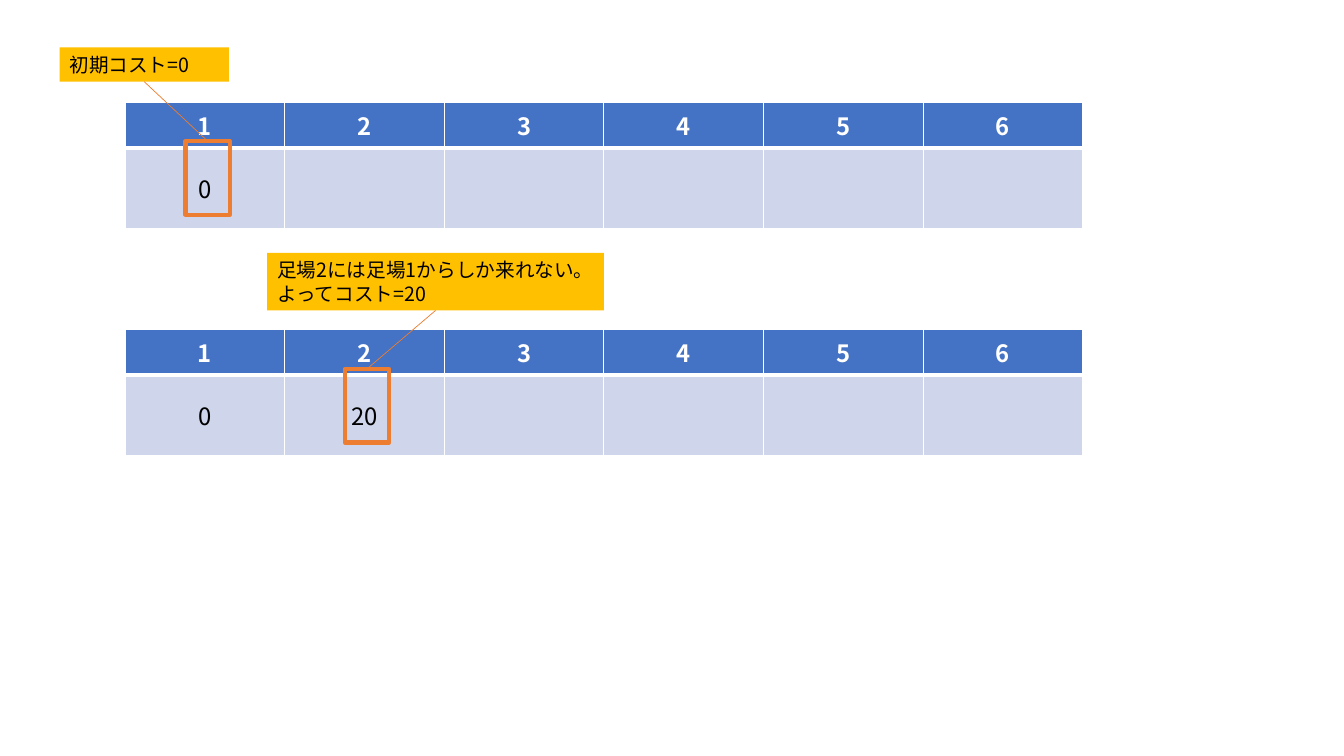
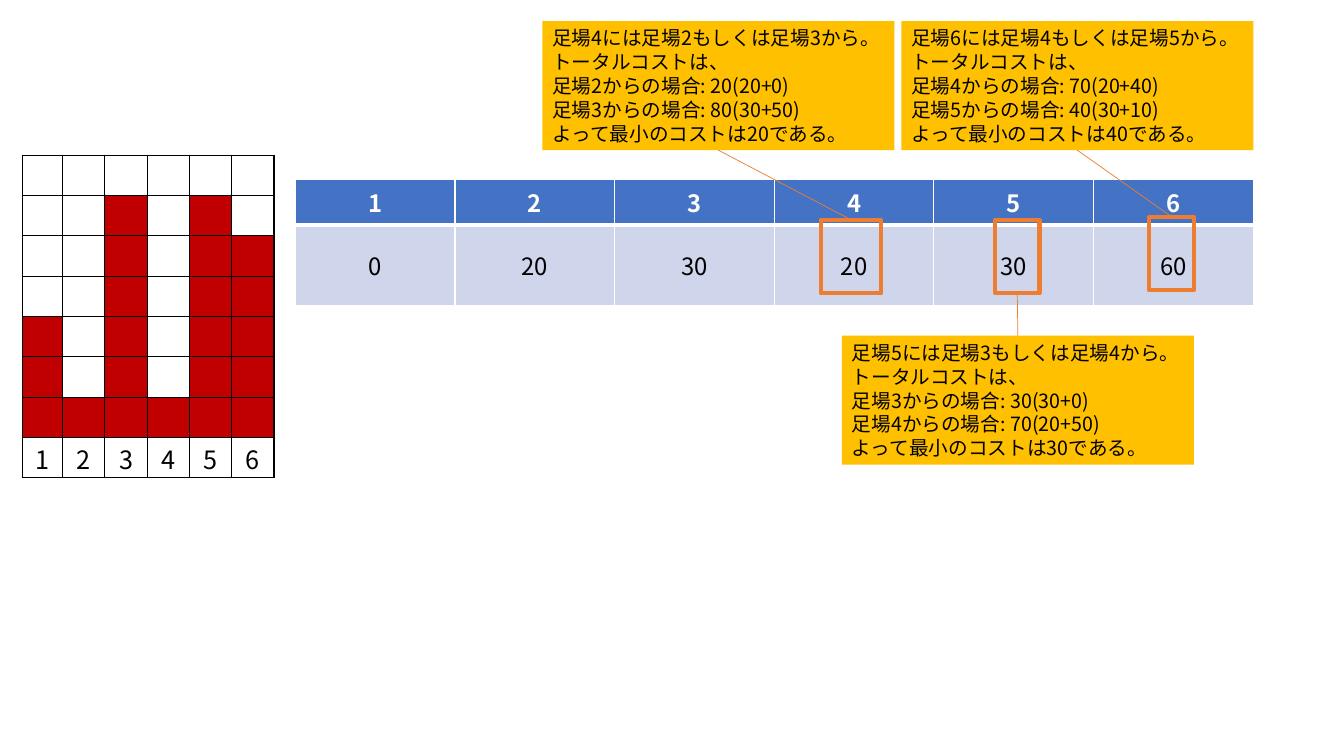
from lxml import etree
from pptx import Presentation
from pptx.dml.color import RGBColor
from pptx.enum.shapes import MSO_CONNECTOR, MSO_SHAPE
from pptx.enum.text import MSO_ANCHOR, MSO_AUTO_SIZE, PP_ALIGN
from pptx.oxml.ns import qn
from pptx.util import Emu, Pt

WHITE = RGBColor(0xFF, 0xFF, 0xFF)
BLACK = RGBColor(0x00, 0x00, 0x00)
BLUE = RGBColor(0x44, 0x72, 0xC4)
PALE_BLUE = RGBColor(0xCF, 0xD5, 0xEA)
ORANGE = RGBColor(0xED, 0x7D, 0x31)
AMBER = RGBColor(0xFF, 0xC0, 0x00)
RED = RGBColor(0xC0, 0x00, 0x00)

RECTANGLE = MSO_SHAPE.RECTANGLE
STRAIGHT = MSO_CONNECTOR.STRAIGHT
TOP, MIDDLE = MSO_ANCHOR.TOP, MSO_ANCHOR.MIDDLE
LEFT, CENTER = PP_ALIGN.LEFT, PP_ALIGN.CENTER
FIT_SHAPE = MSO_AUTO_SIZE.SHAPE_TO_FIT_TEXT
TOP_SIDE, BOTTOM_SIDE = 0, 2

FONT = "Noto Sans CJK JP"
STEPS = 6


def px(length):
    """Turn px, 100 to the inch, into EMU."""
    return Emu(length * 9144)


class Painter:
    def __init__(self, deck):
        self.deck = deck
        self.page = None

    def new_page(self):
        self.page = self.deck.slides.add_slide(self.deck.slide_layouts[6])

    def style(self, para, size, color=BLACK, bold=False, align=LEFT):
        para.alignment = align
        font = para.font
        font.size, font.bold, font.name = Pt(size), bold, FONT
        font.color.rgb = color
        east_asian = etree.SubElement(font._element, qn("a:ea"))
        east_asian.set("typeface", FONT)

    def rectangle(self, left, top, width, height):
        box = self.page.shapes.add_shape(
            RECTANGLE, px(left), px(top), px(width), px(height))
        box.shadow.inherit = False
        return box

    def marker(self, left, top, width=44):
        """Frame one cost in a table."""
        frame = self.rectangle(left, top, width, 73)
        frame.fill.background()
        frame.line.color.rgb = ORANGE
        frame.line.width = Pt(3)
        return frame

    def callout(self, left, top, width, height, lines):
        box = self.rectangle(left, top, width, height)
        box.fill.solid()
        box.fill.fore_color.rgb = AMBER
        box.line.fill.background()
        frame = box.text_frame
        frame.word_wrap = True
        frame.auto_size = FIT_SHAPE
        frame.vertical_anchor = TOP
        frame.text = "\n".join(lines)
        for para in frame.paragraphs:
            self.style(para, 14)
            para.line_spacing = Pt(17)
        return box

    def connect(self, callout, marker):
        """Join the facing sides of a callout and its marker."""
        sides = (BOTTOM_SIDE, TOP_SIDE)
        if callout.top > marker.top:
            sides = sides[::-1]
        line = self.page.shapes.add_connector(STRAIGHT, 0, 0, 0, 0)
        line.begin_connect(callout, sides[0])
        line.end_connect(marker, sides[1])
        line.line.color.rgb = ORANGE
        line.line.width = Pt(0.5)
        etree.SubElement(line._element.spPr, qn("a:effectLst"))

    def cell(self, cell, text, fill, border, widths, size, color=BLACK,
             bold=False):
        """Fill in one cell; widths are its left, right, top and bottom borders."""
        properties = cell._tc.get_or_add_tcPr()
        for side, width in zip("LRTB", widths):
            edge = etree.SubElement(properties, qn(f"a:ln{side}"), w=str(Pt(width)))
            paint = etree.SubElement(edge, qn("a:solidFill"))
            etree.SubElement(paint, qn("a:srgbClr"), val=str(border))
        if fill is None:
            cell.fill.background()
        else:
            cell.fill.solid()
            cell.fill.fore_color.rgb = fill
        cell.text = text
        self.style(cell.text_frame.paragraphs[0], size, color, bold, CENTER)

    def table(self, rows, left, top, width, height):
        table = self.page.shapes.add_table(
            rows, STEPS, px(left), px(top), px(width), px(height)).table
        table.first_row = table.horz_banding = False
        return table

    def cost_table(self, left, top, costs):
        table = self.table(2, left, top, 950, 125)
        table.rows[0].height, table.rows[1].height = px(45), px(80)
        for step in range(STEPS):
            self.cell(table.cell(0, step), str(step + 1), BLUE, WHITE,
                      (1, 1, 1, 3), 17, WHITE, True)
            cost = str(costs[step]) if step < len(costs) else ""
            body = table.cell(1, step)
            self.cell(body, cost, PALE_BLUE, WHITE, (1, 1, 3, 1), 17)
            body.vertical_anchor = MIDDLE

    def scaffold_grid(self, left, top, heights):
        """Draw each scaffold as a column of red cells over its number."""
        levels = 7
        table = self.table(levels + 1, left, top, 250, 320)
        for step, height in enumerate(heights):
            table.columns[step].width = px(42 if step else 40)
            for row in range(levels + 1):
                filled = levels - height <= row < levels
                cell = table.cell(row, step)
                cell.margin_top, cell.margin_bottom = px(3), 0
                self.cell(cell, str(step + 1) if row == levels else "",
                          RED if filled else None, BLACK, (1, 1, 1, 1), 18)

    def explain(self, callout, marker):
        self.connect(self.callout(*callout), self.marker(*marker))


def choice_lines(step, first, second, least):
    """Word the choice between the two scaffolds before a step."""
    return [
        f"足場{step}には足場{step - 2}もしくは足場{step - 1}から。トータルコストは、",
        f"足場{step - 2}からの場合: {first}",
        f"足場{step - 1}からの場合: {second}",
        f"よって最小のコストは{least}である。",
    ]


def main():
    deck = Presentation()
    deck.slide_width, deck.slide_height = px(1333), px(750)
    painter = Painter(deck)

    painter.new_page()
    painter.cost_table(124, 102, [0])
    painter.explain((59, 47, 168, 34, ["初期コスト=0"]), (184, 140))
    painter.cost_table(124, 327, [0, 20])
    painter.explain(
        (265, 251, 334, 57,
         ["足場2には足場1からしか来れない。", "よってコスト=20"]),
        (342, 366))

    painter.new_page()
    painter.cost_table(293, 178, [0, 20, 30, 20, 30, 60])
    choices = [
        (538, 21, (4, "20(20+0)", "80(30+50)", 20), (814, 218, 60)),
        (835, 333, (5, "30(30+0)", "70(20+50)", 30), (987, 218)),
        (894, 21, (6, "70(20+40)", "40(30+10)", 40), (1140, 215)),
    ]
    for left, top, choice, marker in choices:
        painter.explain((left, top, 349, 128, choice_lines(*choice)), marker)
    painter.scaffold_grid(22, 154, [3, 1, 6, 1, 6, 5])

    deck.save("out.pptx")


if __name__ == "__main__":
    main()
